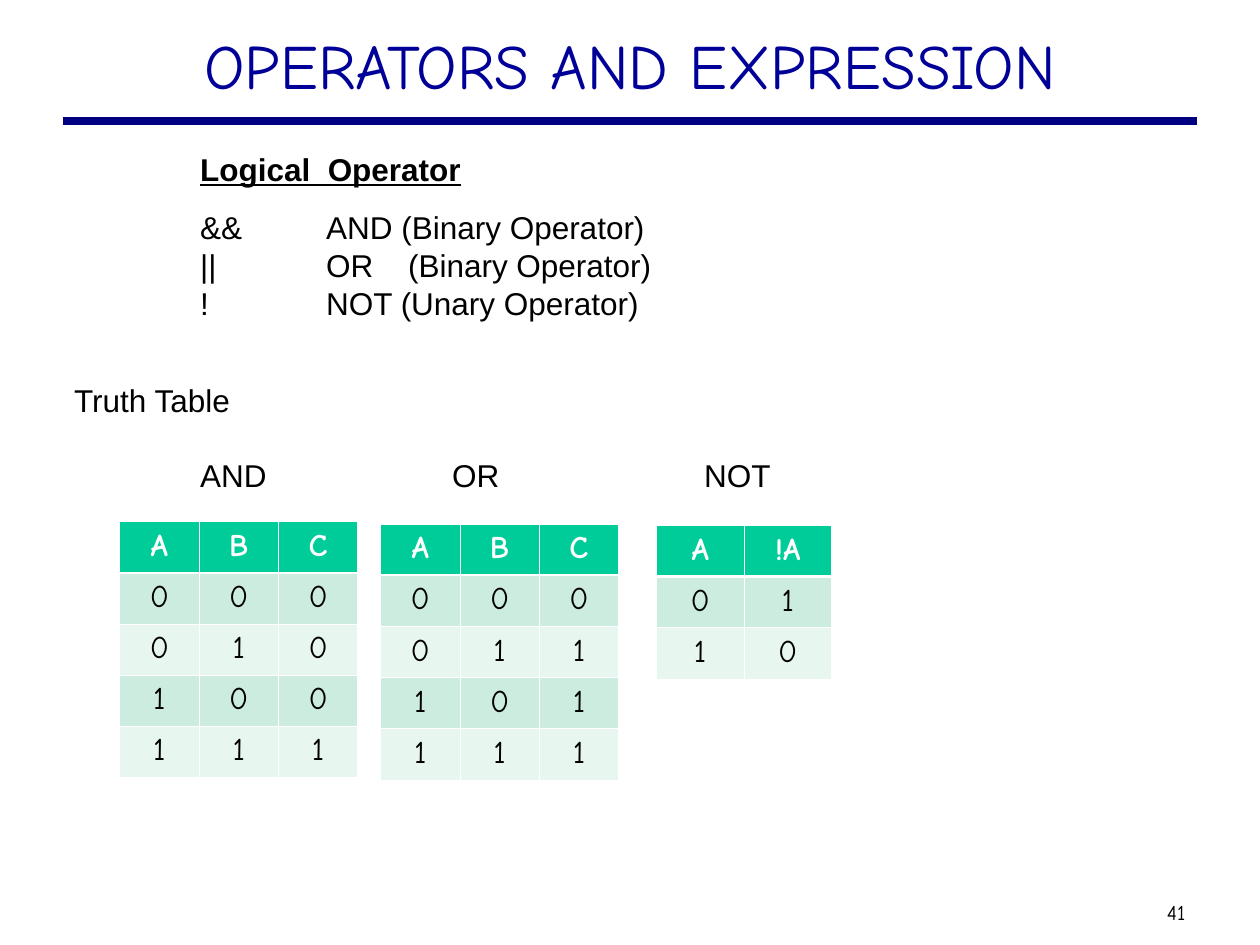
from dataclasses import dataclass

from lxml import etree
from pptx import Presentation
from pptx.dml.color import RGBColor
from pptx.enum.shapes import MSO_CONNECTOR
from pptx.enum.text import MSO_ANCHOR, PP_ALIGN
from pptx.oxml.ns import qn
from pptx.util import Inches, Pt

STRAIGHT = MSO_CONNECTOR.STRAIGHT
CENTER = PP_ALIGN.CENTER
TOP, MIDDLE = MSO_ANCHOR.TOP, MSO_ANCHOR.MIDDLE

TITLE_BLUE = RGBColor(0x00, 0x00, 0x99)
RULE_NAVY = RGBColor(0x00, 0x00, 0x80)
BLACK = RGBColor(0x00, 0x00, 0x00)
WHITE = RGBColor(0xFF, 0xFF, 0xFF)
HEADER_GREEN = RGBColor(0x00, 0xCC, 0x99)
BANDS = (RGBColor(0xCB, 0xEC, 0xDE), RGBColor(0xE7, 0xF6, 0xEF))

COMIC, SANS = "Comic Neue", "Arial"
TEXT_SIZE = Pt(18)
LINE_PITCH = Pt(21.7)
THIN, THICK = Pt(0.45), Pt(1.47)


@dataclass
class Line:
    text: str
    tabs: tuple = ()       # tab stops in inches
    space_before: float = 0  # points
    heading: bool = False


@dataclass
class TruthTable:
    left: float
    top: float
    width: float
    height: float
    rows: tuple  # one string a row, cells split by spaces


LINES = (
    Line("\tLogical  Operator", (1,), heading=True),
    Line("\t&&\tAND (Binary Operator)", (1, 2), 11.4),
    Line("\t||\tOR\t(Binary Operator)", (1, 2, 2.65)),
    Line("\t!\tNOT (Unary Operator)", (1, 2)),
    Line("Truth Table", space_before=33.7),
    Line("\tAND\tOR\tNOT", (1, 3, 5), 21.1),
)

TRUTH_TABLES = (
    TruthTable(0.95, 4.14, 1.89, 2.03, ("A B C", "0 0 0", "0 1 0", "1 0 0", "1 1 1")),
    TruthTable(3.02, 4.16, 1.89, 2.03, ("A B C", "0 0 0", "0 1 1", "1 0 1", "1 1 1")),
    TruthTable(5.21, 4.17, 1.39, 1.22, ("A !A", "0 1", "1 0")),
)


def set_font(font, name: str, size, color: RGBColor, bold: bool = False) -> None:
    font.name, font.size, font.bold = name, size, bold
    font.color.rgb = color


def add_tabs(paragraph, stops: tuple) -> None:
    tab_list = etree.SubElement(paragraph._p.get_or_add_pPr(), qn("a:tabLst"))
    for stop in stops:
        etree.SubElement(tab_list, qn("a:tab"), pos=str(Inches(stop)), algn="l")


def add_line(paragraph, line: Line) -> None:
    if line.tabs:
        add_tabs(paragraph, line.tabs)
    paragraph.line_spacing = LINE_PITCH
    if line.space_before:
        paragraph.space_before = Pt(line.space_before)
    if line.heading:
        # Only the words are underlined, not the tab before them
        paragraph.add_run().text = "\t"
        words = paragraph.add_run()
        words.text = line.text.lstrip("\t")
        words.font.underline = True
    else:
        paragraph.add_run().text = line.text
    set_font(paragraph.font, SANS, TEXT_SIZE, BLACK, line.heading)


def set_borders(cell, top, bottom) -> None:
    properties = cell._tc.get_or_add_tcPr()
    widths = (("a:lnL", THIN), ("a:lnR", THIN), ("a:lnT", top), ("a:lnB", bottom))
    for index, (side, width) in enumerate(widths):
        border = etree.Element(qn(side), w=str(int(width)))
        fill = etree.SubElement(border, qn("a:solidFill"))
        etree.SubElement(fill, qn("a:srgbClr"), val=str(WHITE))
        properties.insert(index, border)


def add_truth_table(slide, spec_table: TruthTable) -> None:
    rows = [row.split() for row in spec_table.rows]
    column_count = len(rows[0])
    table = slide.shapes.add_table(
        len(rows), column_count, Inches(spec_table.left), Inches(spec_table.top),
        Inches(spec_table.width), Inches(spec_table.height)).table
    for column in table.columns:
        column.width = Inches(spec_table.width / column_count)
    for r, row in enumerate(rows):
        table.rows[r].height = Inches(spec_table.height / len(rows))
        is_header = r == 0
        for c, value in enumerate(row):
            cell = table.cell(r, c)
            cell.fill.solid()
            cell.fill.fore_color.rgb = HEADER_GREEN if is_header else BANDS[(r - 1) % 2]
            set_borders(cell, THICK if r == 1 else THIN, THICK if is_header else THIN)
            paragraph = cell.text_frame.paragraphs[0]
            paragraph.text = value
            paragraph.alignment = CENTER
            set_font(paragraph.font, COMIC, TEXT_SIZE,
                     WHITE if is_header else BLACK, is_header)


def main() -> None:
    presentation = Presentation()
    presentation.slide_width, presentation.slide_height = Inches(10), Inches(7.5)
    slide = presentation.slides.add_slide(presentation.slide_layouts[5])

    # Title and the rule below it
    title = slide.shapes.title
    title.left, title.top = Inches(0.75), Inches(0.16)
    title.width, title.height = Inches(8.5), Inches(0.76)
    title.text_frame.vertical_anchor = TOP
    heading = title.text_frame.paragraphs[0]
    heading.text = "OPERATORS AND EXPRESSION"
    heading.alignment = CENTER
    set_font(heading.font, COMIC, Pt(36), TITLE_BLUE)

    rule = slide.shapes.add_connector(
        STRAIGHT, Inches(0.5), Inches(0.96), Inches(9.5), Inches(0.96))
    rule.line.color.rgb = RULE_NAVY
    rule.line.width = Pt(4.5)
    etree.SubElement(rule._element.spPr, qn("a:effectLst"))

    # Operator list and table captions
    operators = slide.shapes.add_textbox(
        Inches(0.49), Inches(1.14), Inches(9.01), Inches(5.88)).text_frame
    operators.word_wrap = True
    for index, line in enumerate(LINES):
        add_line(operators.add_paragraph() if index else operators.paragraphs[0], line)

    # Truth tables
    for truth_table in TRUTH_TABLES:
        add_truth_table(slide, truth_table)

    # Page number
    page = slide.shapes.add_textbox(
        Inches(9.1), Inches(7.09), Inches(0.47), Inches(0.3)).text_frame
    page.margin_left = page.margin_right = Inches(0.05)
    page.word_wrap = True
    page.vertical_anchor = MIDDLE
    number = page.paragraphs[0]
    number.text = "41"
    number.alignment = CENTER
    set_font(number.font, COMIC, Pt(12), BLACK)

    presentation.save("out.pptx")


if __name__ == "__main__":
    main()
